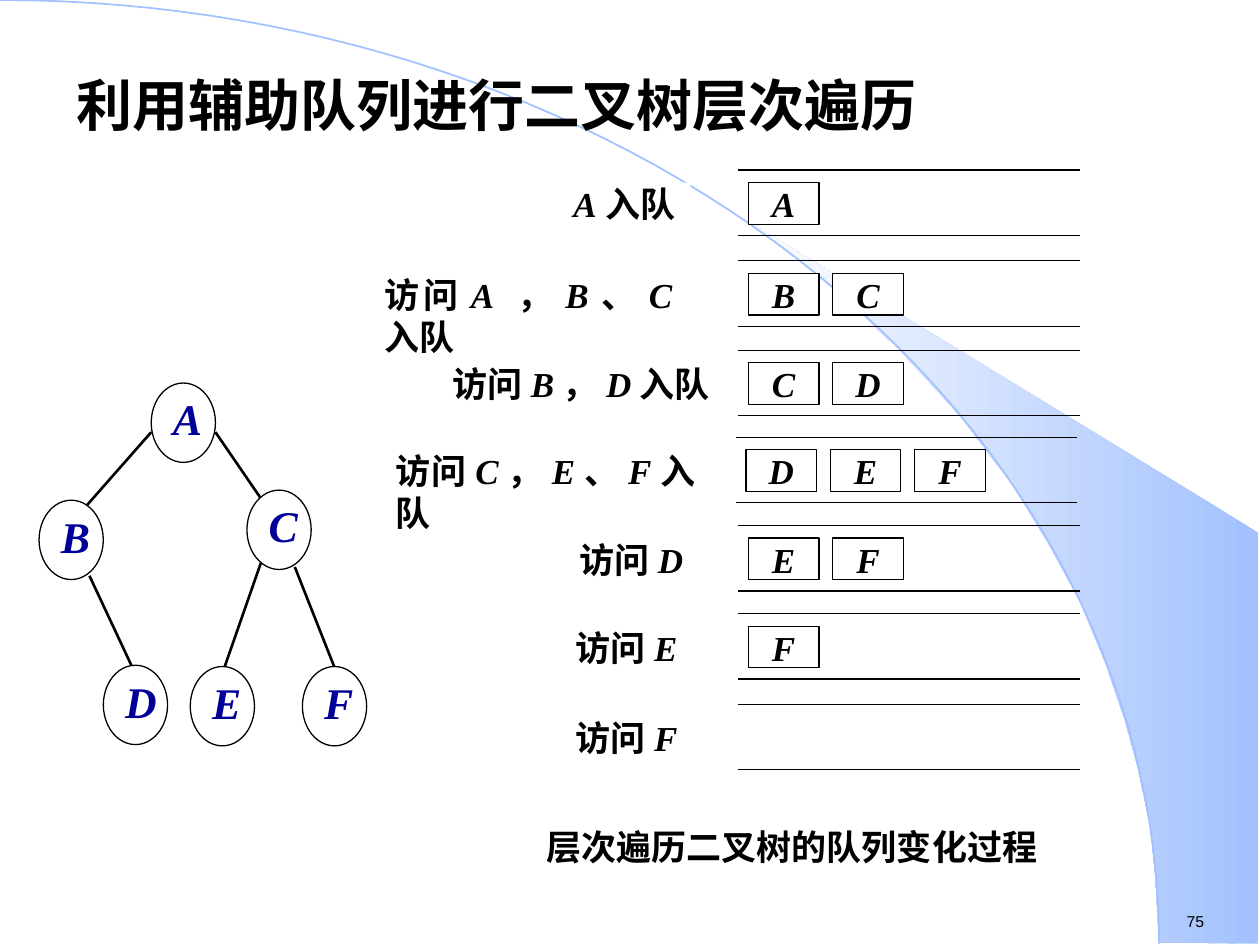
from itertools import groupby
from math import cos, pi, sin

from lxml.etree import SubElement
from pptx import Presentation
from pptx.dml.color import RGBColor
from pptx.enum.lang import MSO_LANGUAGE_ID
from pptx.enum.shapes import MSO_CONNECTOR, MSO_SHAPE
from pptx.enum.text import MSO_ANCHOR, PP_ALIGN
from pptx.oxml.ns import qn
from pptx.util import Inches, Pt

BLACK = RGBColor(0x00, 0x00, 0x00)
WHITE = RGBColor(0xFF, 0xFF, 0xFF)
NAVY = RGBColor(0x00, 0x00, 0x99)
SKY = RGBColor(0xA2, 0xC1, 0xFE)
PALE = RGBColor(0xFE, 0xFE, 0xFE)
SERIF = "Times New Roman"

deck = Presentation()
deck.slide_width, deck.slide_height = Inches(10), Inches(7.5)
page = deck.slides.add_slide(deck.slide_layouts[6])


def add_text(kind, place, text, size=20, color=BLACK, font=SERIF, bold=True,
             align=PP_ALIGN.CENTER, margins=(0, 0), spacing=None, outline=False, wrap=True):
    """Add a white shape, or a text box if kind is None; Latin letters are italic in serif."""
    place = [Inches(value) for value in place]
    if kind is None:
        box = page.shapes.add_textbox(*place)
    else:
        box = page.shapes.add_shape(kind, *place)
        box.shadow.inherit = False
        box.fill.solid()
        box.fill.fore_color.rgb = WHITE
        if outline:
            box.line.color.rgb = BLACK
            box.line.width = Pt(0.75)
        else:
            box.line.fill.background()
    frame = box.text_frame
    frame.word_wrap = wrap
    frame.vertical_anchor = MSO_ANCHOR.TOP
    frame.margin_left = frame.margin_right = Inches(margins[0])
    frame.margin_top = frame.margin_bottom = Inches(margins[1])
    paragraph = frame.paragraphs[0]
    paragraph.alignment = align
    paragraph.line_spacing = spacing
    for latin, letters in groupby(text, str.isascii):
        span = paragraph.add_run()
        span.text = "".join(letters)
        span.font.name = font
        span.font.size = Pt(size)
        span.font.bold = bold
        span.font.italic = latin and font == SERIF
        span.font.color.rgb = color
        if not latin:
            span.font.language_id = MSO_LANGUAGE_ID.SIMPLIFIED_CHINESE


def add_line(start, end, width):
    line = page.shapes.add_connector(
        MSO_CONNECTOR.STRAIGHT, *[Inches(value) for value in (*start, *end)])
    line.line.color.rgb = BLACK
    line.line.width = Pt(width)
    SubElement(line._element.spPr, qn("a:effectLst"))


# Background: shaded wedge and quarter-ellipse arc
WEDGE = [(9.2, 7.48), (9.99, 7.49), (9.99, 4.23), (5.89, 1.73), (6.24, 1.99), (6.53, 2.22),
         (6.85, 2.5), (7.16, 2.8), (7.62, 3.3), (8.03, 3.84), (8.32, 4.31), (8.58, 4.79),
         (8.78, 5.28), (8.93, 5.72), (9.03, 6.09), (9.13, 6.56), (9.17, 6.96)]
STEPS = 60
ARC = [(9.2 * sin(pi / 2 * step / STEPS), 7.49 * (1 - cos(pi / 2 * step / STEPS)))
       for step in range(STEPS + 1)]
outlines = []
for points, closed in ((WEDGE, True), (ARC, False)):
    points = [(Inches(x), Inches(y)) for x, y in points]
    builder = page.shapes.build_freeform(*points[0])
    builder.add_line_segments(points[1:], close=closed)
    outline = builder.convert_to_shape()
    outline.shadow.inherit = False
    outlines.append(outline)
wedge, arc = outlines
wedge.line.fill.background()
wedge.fill.gradient()
wedge.fill.gradient_angle = 180
for stop, color in zip(wedge.fill.gradient_stops, (SKY, PALE)):
    stop.color.rgb = color
arc.fill.background()
arc.line.color.rgb = SKY
arc.line.width = Pt(1)

# Page number, title and caption
add_text(None, (9.32, 7.19, 0.77, 0.25), "75", 9, font="Arial", bold=False,
         align=PP_ALIGN.LEFT, margins=(0.1, 0.05), wrap=False)
add_text(None, (0.51, 0.4, 8.98, 0.83), "利用辅助队列进行二叉树层次遍历", 32,
         align=PP_ALIGN.LEFT, margins=(0.1, 0.05), spacing=1.2)
add_text(MSO_SHAPE.RECTANGLE, (4.21, 6.55, 4.15, 0.39), "层次遍历二叉树的队列变化过程")

# Queue states: rail left, rail top, label left, label width, side margin, label, queue
QUEUES = [
    (5.86, 1.35, 4.43, 1.05, 0, "A入队", "A"),
    (5.86, 2.07, 2.95, 2.55, 0.1, "访问A ，B、C入队", "BC"),
    (5.86, 2.78, 3.59, 2.08, 0, "访问B，D入队", "CD"),
    (5.84, 3.47, 3.14, 2.38, 0, "访问C，E、F入队", "DEF"),
    (5.86, 4.17, 4.5, 1.09, 0.1, "访问D", "EF"),
    (5.86, 4.87, 4.47, 1.01, 0.1, "访问E", "F"),
    (5.86, 5.59, 4.47, 1.12, 0.1, "访问F", ""),
]
RAIL_LENGTH, RAIL_GAP, CELL_PITCH = 2.71, 0.52, 0.67
for left, top, label_left, label_width, margin, label, queue in QUEUES:
    align = PP_ALIGN.CENTER if label == "A入队" else PP_ALIGN.JUSTIFY
    add_text(MSO_SHAPE.RECTANGLE, (label_left, top + 0.1, label_width, 0.4), label,
             align=align, margins=(margin, 0))
    for rail in (top, top + RAIL_GAP):
        add_line((left, rail), (left + RAIL_LENGTH, rail), 0.75)
    for index, letter in enumerate(queue):
        add_text(MSO_SHAPE.RECTANGLE,
                 (left + 0.08 + index * CELL_PITCH, top + 0.1, 0.56, 0.33),
                 letter, outline=True)

# Binary tree
EDGES = [((1.2, 3.43), (0.69, 4.01)), ((1.71, 3.43), (2.08, 3.97)),
         ((0.71, 4.57), (1.08, 5.36)), ((2.07, 4.47), (1.77, 5.33)),
         ((2.34, 4.5), (2.66, 5.31))]
NODES = {"A": (1.2, 3.04), "B": (0.31, 3.97), "C": (1.96, 3.89),
         "D": (0.82, 5.28), "E": (1.51, 5.29), "F": (2.4, 5.29)}
for parent, child in EDGES:
    add_line(parent, child, 1.5)
for letter, corner in NODES.items():
    add_text(MSO_SHAPE.OVAL, (*corner, 0.51, 0.63), letter, 25, NAVY,
             margins=(0.1, 0.05), spacing=Pt(25), outline=True)

deck.save("out.pptx")
